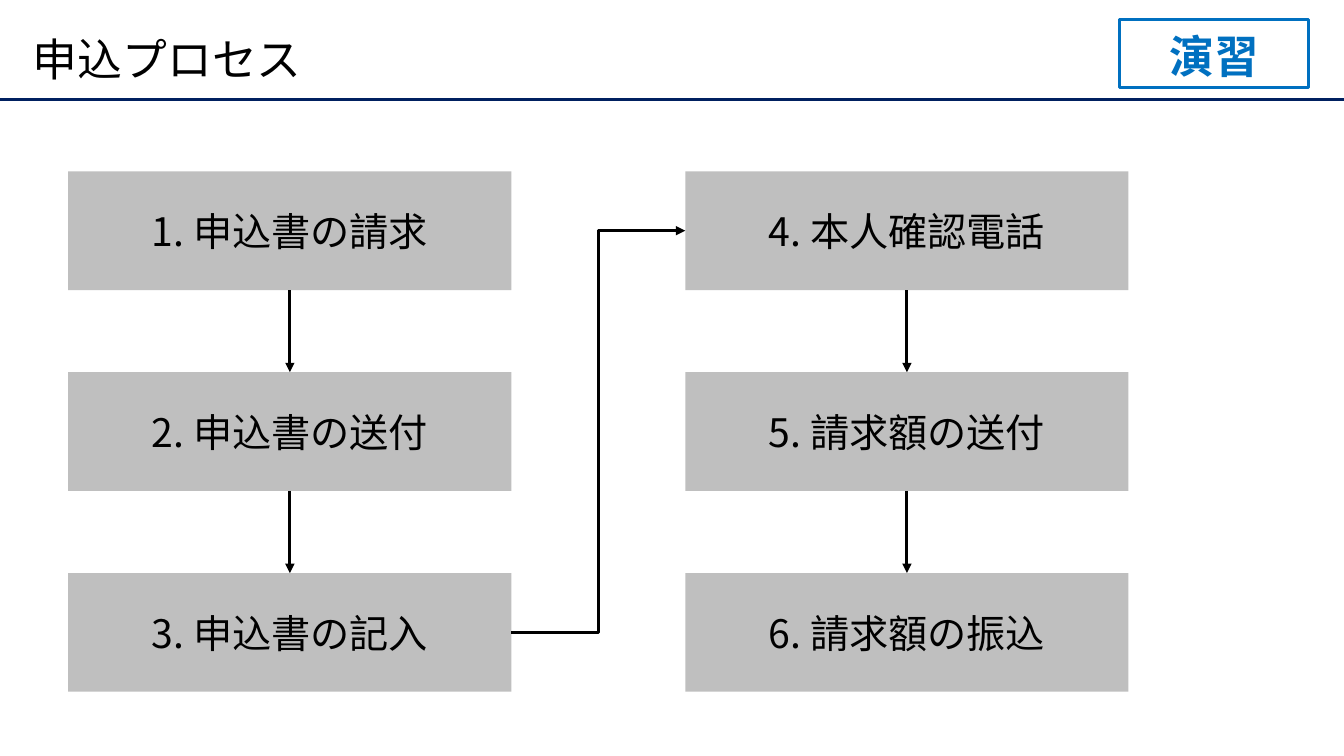
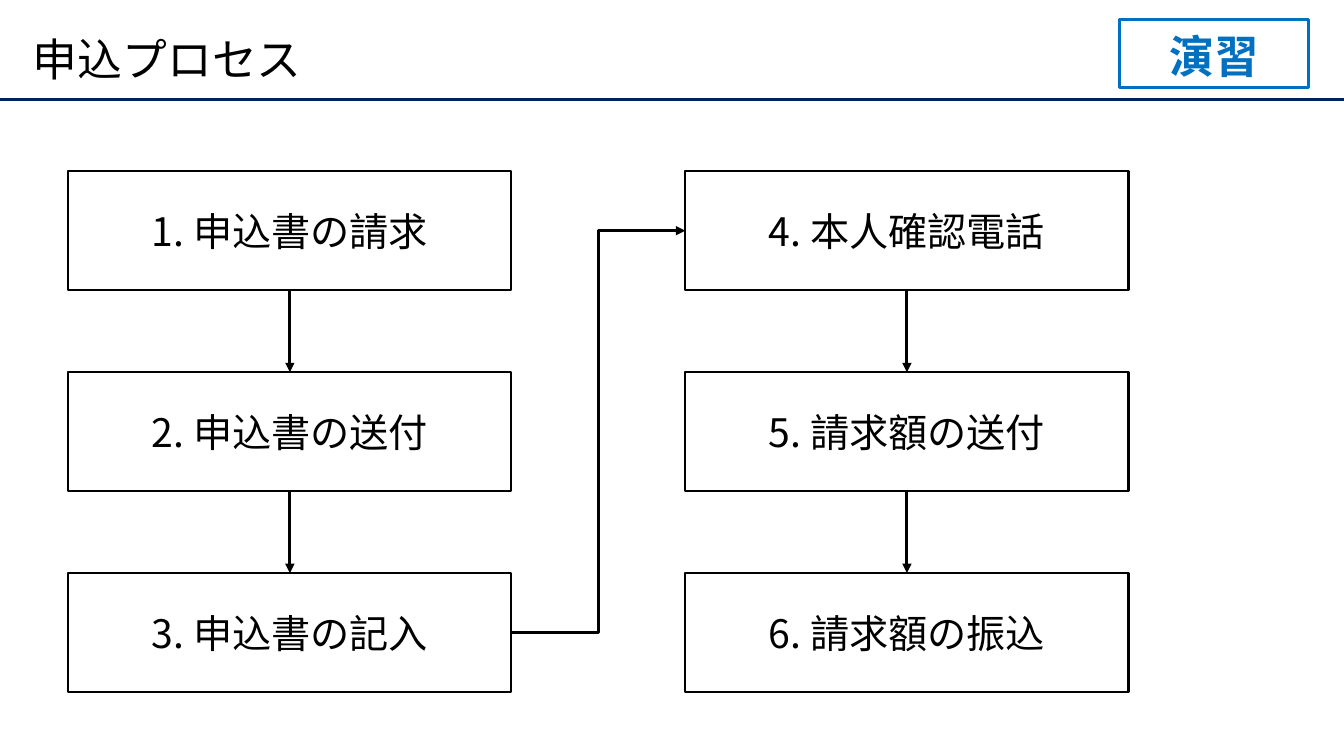
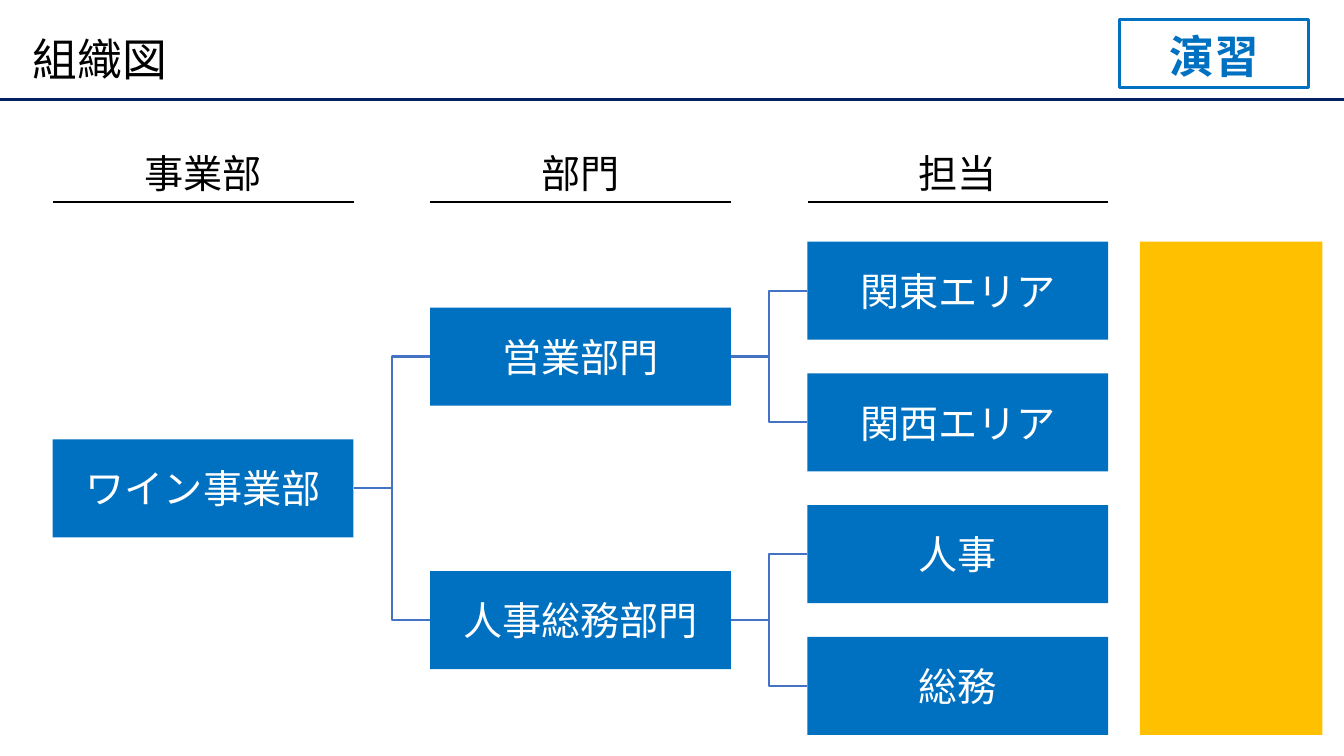
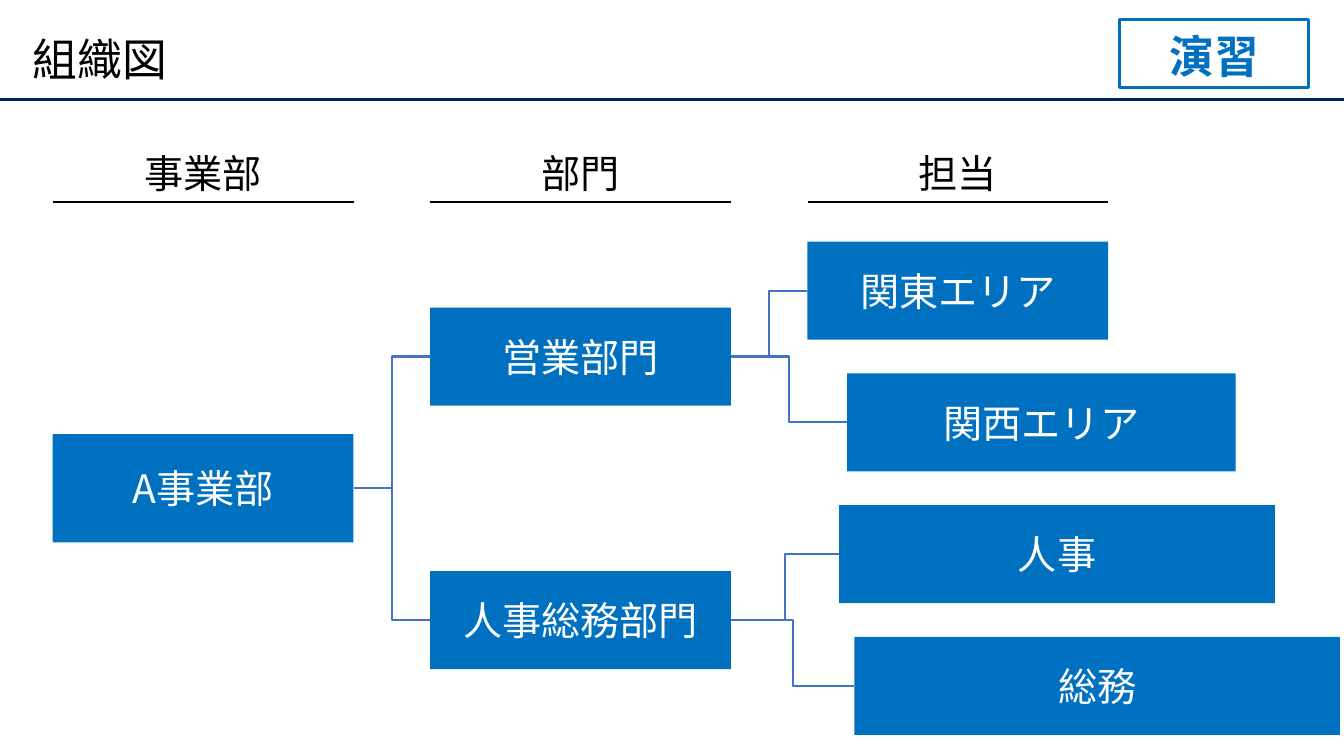
from lxml.etree import SubElement
from pptx import Presentation
from pptx.dml.color import RGBColor
from pptx.enum.shapes import MSO_CONNECTOR, MSO_SHAPE
from pptx.enum.text import MSO_ANCHOR, MSO_AUTO_SIZE, PP_ALIGN
from pptx.oxml.ns import qn
from pptx.util import Cm, Pt

FONT = "Noto Sans CJK JP"
HUES = {
    "ink": "000000", "paper": "FFFFFF", "navy": "002060", "blue": "0070C0",
    "link": "4472C4", "grey": "BFBFBF", "gold": "FFC000",
}
WIDE, HIGH = 33.87, 19.05
TOP, LEFT, BOTTOM, RIGHT = range(4)

STEPS = [
    ["1. 申込書の請求", "2. 申込書の送付", "3. 申込書の記入"],
    ["4. 本人確認電話", "5. 請求額の送付", "6. 請求額の振込"],
]
FLOWS = [{"fill": "grey"}, {"fill": "paper", "line": "ink"}]
STEP = {"x": 1.72, "y": 4.32, "w": 11.17, "h": 2.99, "dx": 15.55, "dy": 5.06}

HEADS = ["事業部", "部門", "担当"]
UNITS = [
    ("営業部門", ["関東エリア", "関西エリア"]),
    ("人事総務部門", ["人事", "総務"]),
]
UNIT = {"x": 1.33, "y": 6.09, "w": 7.58, "h": 2.47, "dx": 9.51, "dy": 3.32}
CHARTS = [
    {"root": "ワイン事業部", "tall": 2.47, "note": True,
     "shifts": [0, 0, 0, 0], "widths": [7.58] * 4},
    {"root": "A事業部", "tall": 2.73, "note": False,
     "shifts": [0, 1, 0.8, 1.18], "widths": [7.58, 9.79, 10.98, 12.24]},
]


def tint(name):
    return RGBColor.from_string(HUES[name])


def write(shape, text, size=28, hue="ink", bold=False, align=PP_ALIGN.CENTER,
          anchor=MSO_ANCHOR.MIDDLE, space=None):
    frame = shape.text_frame
    frame.word_wrap = True
    frame.vertical_anchor = anchor
    para = frame.paragraphs[0]
    para.alignment = align
    para.line_spacing = space
    run = para.add_run()
    run.text = text
    font = run.font
    font.size, font.bold, font.name = Pt(size), bold, FONT
    font.color.rgb = tint(hue)
    SubElement(font._element, qn("a:ea"), typeface=FONT)


def box(slide, x, y, w, h, fill=None, line=None, weight=1.5):
    shape = slide.shapes.add_shape(MSO_SHAPE.RECTANGLE, Cm(x), Cm(y), Cm(w), Cm(h))
    shape.shadow.inherit = False
    if fill:
        shape.fill.solid()
        shape.fill.fore_color.rgb = tint(fill)
    else:
        shape.fill.background()
    if line:
        shape.line.color.rgb = tint(line)
        shape.line.width = Pt(weight)
    else:
        shape.line.fill.background()
    return shape


def label(slide, x, y, w, h, text, **style):
    shape = slide.shapes.add_textbox(Cm(x), Cm(y), Cm(w), Cm(h))
    write(shape, text, **style)
    return shape


def rule(slide, start, end, hue="ink", weight=1.5, kind=MSO_CONNECTOR.STRAIGHT, arrow=False):
    line = slide.shapes.add_connector(kind, *start, *end)
    line.line.color.rgb = tint(hue)
    line.line.width = Pt(weight)
    props = line._element.spPr
    if arrow:
        SubElement(props.find(qn("a:ln")), qn("a:tailEnd"), type="triangle")
    SubElement(props, qn("a:effectLst"))
    return line


def spot(shape, side):
    mid_x, mid_y = shape.left + shape.width // 2, shape.top + shape.height // 2
    return {
        TOP: (mid_x, shape.top),
        LEFT: (shape.left, mid_y),
        BOTTOM: (mid_x, shape.top + shape.height),
        RIGHT: (shape.left + shape.width, mid_y),
    }[side]


def join(slide, first, out, last, into, **style):
    line = rule(slide, spot(first, out), spot(last, into), **style)
    line.begin_connect(first, out)
    line.end_connect(last, into)


def start(deck, title):
    slide = deck.slides.add_slide(deck.slide_layouts[6])
    rule(slide, (0, Cm(2.51)), (Cm(WIDE), Cm(2.51)), hue="navy", weight=2.25)
    label(slide, 0.58, 0.5, 32, 2.13, title, size=32, align=PP_ALIGN.LEFT, space=0.9)
    badge = box(slide, 28.22, 0.5, 4.76, 1.7, line="blue", weight=2.25)
    write(badge, "演習", size=32, hue="blue", bold=True, anchor=MSO_ANCHOR.BOTTOM)
    return slide


def flow(deck, look):
    slide = start(deck, "申込プロセス")
    cols = []
    for col, texts in enumerate(STEPS):
        cells = []
        for row, text in enumerate(texts):
            cell = box(slide, STEP["x"] + col * STEP["dx"], STEP["y"] + row * STEP["dy"],
                       STEP["w"], STEP["h"], **look)
            write(cell, text)
            cells.append(cell)
        for upper, lower in zip(cells, cells[1:]):
            join(slide, upper, BOTTOM, lower, TOP, weight=2.25, arrow=True)
        cols.append(cells)
    join(slide, cols[0][-1], RIGHT, cols[1][0], LEFT, weight=2.25,
         kind=MSO_CONNECTOR.ELBOW, arrow=True)


def unit(slide, text, col, row, shift=0, width=UNIT["w"], tall=UNIT["h"]):
    y = UNIT["y"] + row * UNIT["dy"] + (UNIT["h"] - tall) / 2
    shape = box(slide, UNIT["x"] + col * UNIT["dx"] + shift, y, width, tall, fill="blue")
    write(shape, text, hue="paper")
    return shape


def link(slide, boss, part):
    join(slide, boss, RIGHT, part, LEFT, hue="link", kind=MSO_CONNECTOR.ELBOW)


def chart(deck, plan):
    slide = start(deck, "組織図")
    for col, text in enumerate(HEADS):
        x = UNIT["x"] + col * UNIT["dx"]
        rule(slide, (Cm(x), Cm(5.08)), (Cm(x + UNIT["w"]), Cm(5.08)))
        head = label(slide, x + (UNIT["w"] - 4.55) / 2, 3.63, 4.55, 1.45, text,
                     anchor=MSO_ANCHOR.TOP)
        head.text_frame.auto_size = MSO_AUTO_SIZE.SHAPE_TO_FIT_TEXT
    root = unit(slide, plan["root"], 0, 1.5, tall=plan["tall"])
    row = 0
    for name, parts in UNITS:
        branch = unit(slide, name, 1, row + (len(parts) - 1) / 2)
        link(slide, root, branch)
        for part in parts:
            leaf = unit(slide, part, 2, row, plan["shifts"][row], plan["widths"][row])
            link(slide, branch, leaf)
            row += 1
    if plan["note"]:
        box(slide, 28.73, UNIT["y"], 4.6, 3 * UNIT["dy"] + UNIT["h"], fill="gold")


def main():
    deck = Presentation()
    deck.slide_width, deck.slide_height = Cm(WIDE), Cm(HIGH)
    for look in FLOWS:
        flow(deck, look)
    for plan in CHARTS:
        chart(deck, plan)
    deck.save("out.pptx")


if __name__ == "__main__":
    main()
